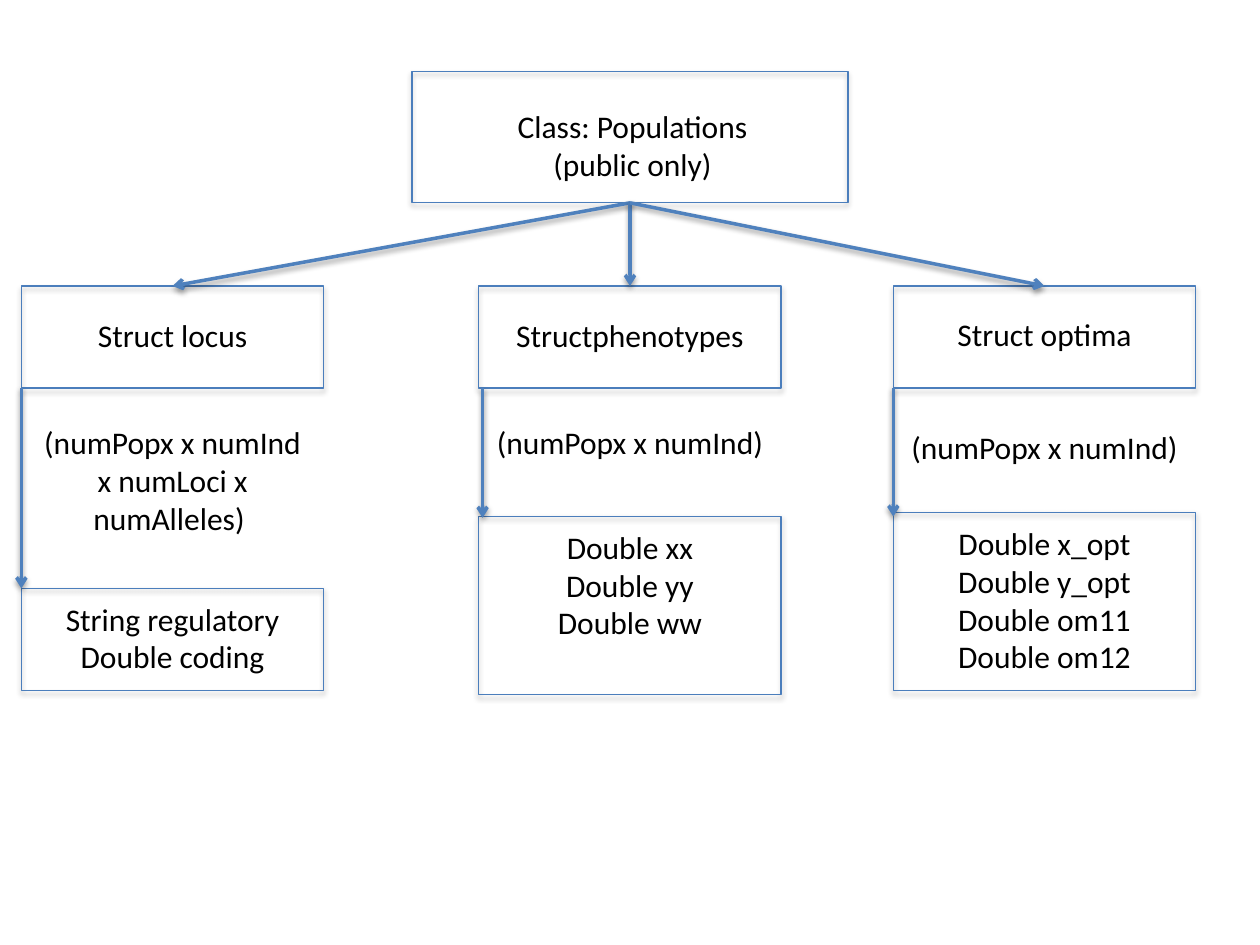
"""Build a class diagram of Populations and its three structs."""
from pptx import Presentation
from pptx.dml.color import RGBColor
from pptx.enum.shapes import MSO_CONNECTOR as CONN, MSO_SHAPE as SHAPE
from pptx.enum.text import MSO_AUTO_SIZE as AUTO, PP_ALIGN as ALIGN
from pptx.oxml import parse_xml
from pptx.oxml.ns import nsdecls, qn
from pptx.util import Inches, Pt

BORDER = RGBColor(0x4B, 0x7E, 0xBC)
ARROW = RGBColor(0x4F, 0x81, 0xBD)
BLACK = RGBColor(0, 0, 0)
FONT, SIZE = "Calibri", Pt(18)

ROOT = ["Class: Populations", "(public only)"]
ROOT_BOX = (3.27, 0.57, 3.46, 1.04)
COL_W, HEAD_TOP, HEAD_H = 2.4, 2.27, 0.81
LINE_H, TEXT_PAD = 0.3, 0.1

STRUCTS = [
    dict(left=0.17, name="Struct locus", name_top=2.46,
         dims=["(numPopx x numInd", "x numLoci x numAlleles) "], dims_top=3.31, dims_lines=3,
         fields=["String regulatory", "Double coding"],
         top=4.67, height=0.81, arrow_x=0.17, arrow_end=4.67),
    dict(left=3.8, name="Structphenotypes", name_top=2.46,
         dims=["(numPopx x numInd)"], dims_top=3.31, dims_lines=1,
         fields=["Double xx", "Double yy", "Double ww"],
         top=4.1, height=1.41, arrow_x=3.83, arrow_end=4.11),
    dict(left=7.09, name="Struct optima", name_top=2.45,
         dims=["(numPopx x numInd)"], dims_top=3.35, dims_lines=1,
         fields=["Double x_opt", "Double y_opt", "Double om11", "Double om12"],
         top=4.07, height=1.41, arrow_x=7.09, arrow_end=4.1),
]


def add_shadow(sp, distance, opacity):
    sp.element.spPr.append(parse_xml(
        f'<a:effectLst {nsdecls("a")}><a:outerShdw blurRad="{Pt(3.1)}" dist="{Pt(distance)}" '
        f'dir="5400000" rotWithShape="0"><a:srgbClr val="000000">'
        f'<a:alpha val="{opacity * 1000}"/></a:srgbClr></a:outerShdw></a:effectLst>'))


def add_box(s, left, top, width, height):
    sp = s.shapes.add_shape(SHAPE.RECTANGLE, *map(Inches, (left, top, width, height)))
    sp.fill.background()
    sp.line.color.rgb = BORDER
    sp.line.width = Pt(0.75)
    add_shadow(sp, 1.8, 35)
    return sp


def add_text(s, lines, left, top, width, rows=None):
    height = LINE_H * (rows or len(lines)) + TEXT_PAD
    tf = s.shapes.add_textbox(*map(Inches, (left, top, width, height))).text_frame
    tf.word_wrap = True
    tf.auto_size = AUTO.SHAPE_TO_FIT_TEXT
    tf.text = "\n".join(lines)
    for p in tf.paragraphs:
        p.alignment = ALIGN.CENTER
        for r in p.runs:
            r.font.name, r.font.size = FONT, SIZE
            r.font.color.rgb = BLACK


def add_arrow(s, x1, y1, x2, y2):
    cxn = s.shapes.add_connector(CONN.STRAIGHT, *map(Inches, (x1, y1, x2, y2)))
    cxn.line.color.rgb = ARROW
    cxn.line.width = Pt(2)
    cxn.element.spPr.find(qn("a:ln")).append(
        parse_xml(f'<a:tailEnd {nsdecls("a")} type="arrow"/>'))
    add_shadow(cxn, 1.6, 38)
    return cxn


def main():
    prs = Presentation()
    prs.slide_width, prs.slide_height = Inches(10), Inches(7.5)
    s = prs.slides.add_slide(prs.slide_layouts[6])

    root = add_box(s, *ROOT_BOX)
    add_text(s, ROOT, 3.49, 0.8, 3.06)
    root_x = ROOT_BOX[0] + ROOT_BOX[2] / 2
    root_bottom = ROOT_BOX[1] + ROOT_BOX[3]

    for st in STRUCTS:
        left = st["left"]
        head = add_box(s, left, HEAD_TOP, COL_W, HEAD_H)
        add_text(s, [st["name"]], left, st["name_top"], COL_W)
        add_box(s, left, st["top"], COL_W, st["height"])
        add_text(s, st["fields"], left, st["top"] + 0.04, COL_W)
        add_text(s, st["dims"], left, st["dims_top"], COL_W, st["dims_lines"])
        link = add_arrow(s, root_x, root_bottom, left + COL_W / 2, HEAD_TOP)
        link.begin_connect(root, 2)
        link.end_connect(head, 0)
        add_arrow(s, st["arrow_x"], HEAD_TOP + HEAD_H, st["arrow_x"], st["arrow_end"])

    prs.save("out.pptx")


if __name__ == "__main__":
    main()
